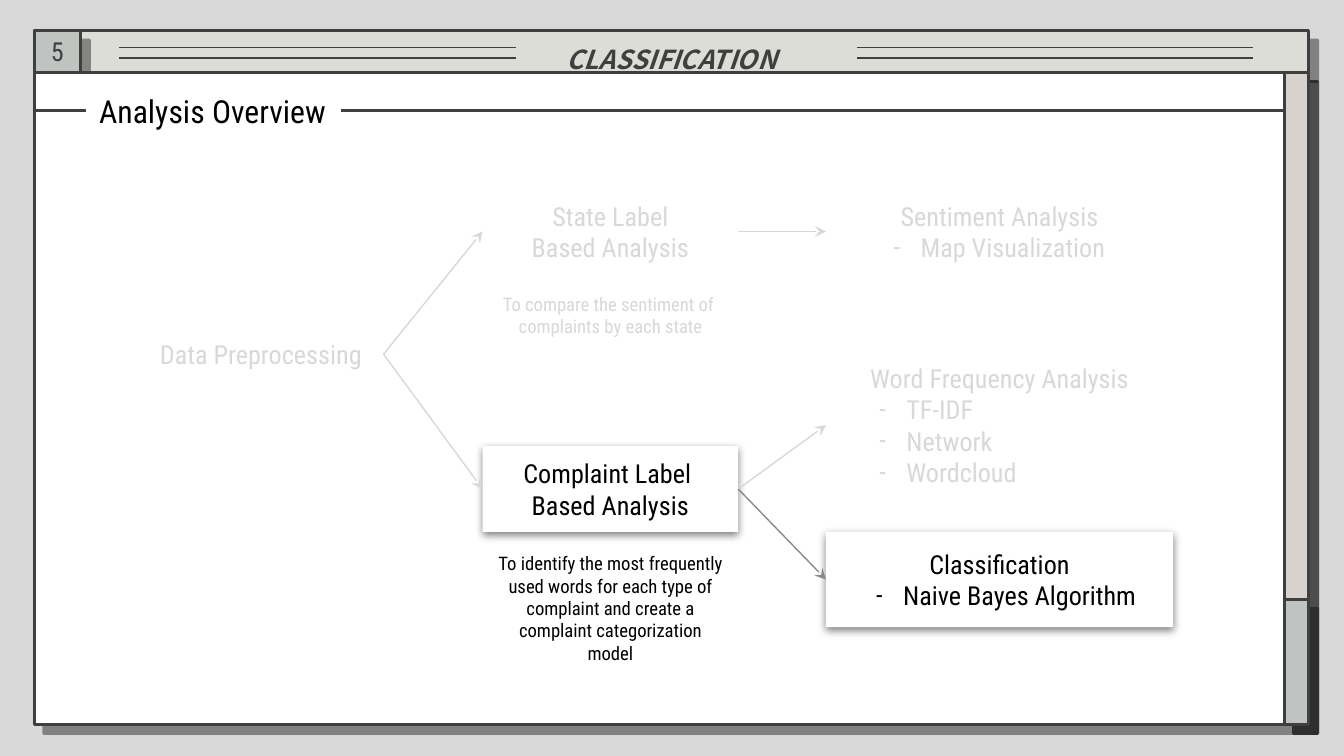
import pptx
import pptx.util
import pptx.dml.color
import pptx.enum.shapes
import pptx.enum.text
import pptx.oxml
import pptx.oxml.ns
from lxml import etree

Pt = pptx.util.Pt
ALIGN = pptx.enum.text.PP_ALIGN
ANCHOR = pptx.enum.text.MSO_ANCHOR
C = {
    "bg": "D8D8D8", "ink": "3F3F3F", "header": "DDDDD8", "accent": "C0C4C1",
    "track": "D7D2CE", "white": "FFFFFF", "black": "000000",
    "faded": "D8D8D8", "arrow": "888888",
}
FONT = "Roboto Condensed"
HARD_SHADOW = (40, 0, 7, 45)
SOFT_SHADOW = (50, 4.5, 1.5, 90)


def rgb(name):
    return pptx.dml.color.RGBColor.from_string(C[name])


def add_shadow(sp, alpha, blur, dist, angle):
    effects = sp._element.spPr.find(pptx.oxml.ns.qn("a:effectLst"))
    effects.append(pptx.oxml.parse_xml(
        f'<a:outerShdw {pptx.oxml.ns.nsdecls("a")} blurRad="{Pt(blur)}" '
        f'dist="{Pt(dist)}" dir="{angle * 60000}" algn="bl" rotWithShape="0">'
        f'<a:srgbClr val="{C["black"]}"><a:alpha val="{alpha * 1000}"/>'
        '</a:srgbClr></a:outerShdw>'))


def add_rect(s, box, fill, line=None, shadow=None):
    sp = s.shapes.add_shape(pptx.enum.shapes.MSO_SHAPE.RECTANGLE, *map(Pt, box))
    sp.shadow.inherit = False
    sp.fill.solid()
    sp.fill.fore_color.rgb = rgb(fill)
    if line:
        sp.line.color.rgb = rgb(line)
        sp.line.width = Pt(1.5)
    else:
        sp.line.fill.background()
    if shadow:
        add_shadow(sp, *shadow)
    return sp


def add_line(s, x1, y1, x2, y2, color, width):
    cn = s.shapes.add_connector(
        pptx.enum.shapes.MSO_CONNECTOR.STRAIGHT, *map(Pt, (x1, y1, x2, y2)))
    cn.line.color.rgb = rgb(color)
    cn.line.width = Pt(width)
    etree.SubElement(cn._element.spPr, pptx.oxml.ns.qn("a:effectLst"))
    return cn


def set_text(sp, text, size, color, align=ALIGN.CENTER, anchor=ANCHOR.MIDDLE,
             inset=7.2, font=FONT):
    tf = sp.text_frame
    tf.word_wrap = True
    tf.vertical_anchor = anchor
    tf.margin_left = tf.margin_right = tf.margin_top = tf.margin_bottom = Pt(inset)
    tf.text = text
    for p in tf.paragraphs:
        p.alignment = align
        for r in p.runs:
            r.font.size = Pt(size)
            r.font.name = font
            r.font.color.rgb = rgb(color)
    return tf


def add_dash(p, left, color, align):
    p.alignment = align
    pPr = p._p.get_or_add_pPr()
    pPr.set("marL", str(Pt(left)))
    pPr.set("indent", str(-Pt(14.4)))
    clr = etree.SubElement(pPr, pptx.oxml.ns.qn("a:buClr"))
    etree.SubElement(clr, pptx.oxml.ns.qn("a:srgbClr"), val=C[color])
    etree.SubElement(pPr, pptx.oxml.ns.qn("a:buFont"), typeface=FONT)
    etree.SubElement(pPr, pptx.oxml.ns.qn("a:buChar"), char="-")


def add_window(s, x, y, w, h, title, number):
    bar, side, thumb = 22.2, 13, 67
    header = add_rect(s, (x, y, w, bar), "header", "ink", HARD_SHADOW)
    tf = set_text(header, title, 14, "ink", inset=3.6, font="Noto Sans CJK KR")
    p = tf.paragraphs[0]
    p.line_spacing = 1.5
    p.runs[0].font.bold = p.runs[0].font.italic = True
    badge = add_rect(s, (x, y, 24.5, bar), "accent", "ink", HARD_SHADOW)
    set_text(badge, number, 14, "ink", inset=3.6)
    for box, fill in (
        ((x, y + bar, w, h - bar), "white"),
        ((x + w - side, y + bar, side, h - bar), "track"),
        ((x + w - side, y + h - thumb, side, thumb), "accent"),
    ):
        add_rect(s, box, fill, "ink", HARD_SHADOW)
    for dx in (45.5, 440.5):
        for dy in (9, 14.5):
            add_line(s, x + dx, y + dy, x + dx + 212.5, y + dy, "ink", 1)


def add_heading(s, x, y, w, h, text):
    left, width = x + 27.5, 136.5
    tb = s.shapes.add_textbox(Pt(left), Pt(y), Pt(width), Pt(h))
    set_text(tb, text, 17, "black", align=ALIGN.LEFT)
    mid = y + h / 2
    add_line(s, x, mid, left, mid, "ink", 1.5)
    add_line(s, left + width, mid, x + w, mid, "ink", 1.5)


def add_node(s, box, text, color, indent=0, align=ALIGN.CENTER, shadow=None):
    sp = add_rect(s, box, "white", shadow=shadow)
    tf = set_text(sp, text, 14, color)
    if indent:
        for p in tf.paragraphs[1:]:
            add_dash(p, indent, color, align)
    return sp


def add_caption(s, box, text, color):
    tb = s.shapes.add_textbox(*map(Pt, box))
    tf = set_text(tb, text, 10, color, anchor=ANCHOR.TOP)
    tf.auto_size = pptx.enum.text.MSO_AUTO_SIZE.SHAPE_TO_FIT_TEXT


def add_arrow(s, start, end, color):
    cn = add_line(s, 0, 0, 0, 0, color, 0.75)
    cn.begin_connect(start, 3)
    cn.end_connect(end, 1)
    etree.SubElement(cn.line._get_or_add_ln(), pptx.oxml.ns.qn("a:tailEnd"),
                     type="stealth", w="med", len="med")


def add_flow(s, x, y, w, h):
    mid_x, mid_w = x + 184.5, 137
    end_w = 186
    end_x = x + w - end_w
    data = add_node(s, (x, y + 72.5, 131.5, 37.5), "Data Preprocessing", "faded")
    state = add_node(s, (mid_x, y + 2.5, mid_w, 46),
                     "State Label\nBased Analysis", "faded")
    complaint = add_node(s, (mid_x, y + 140.5, mid_w, 46),
                         "Complaint Label \nBased Analysis", "black",
                         shadow=SOFT_SHADOW)
    sentiment = add_node(s, (end_x, y, end_w, 51),
                         "Sentiment Analysis\nMap Visualization", "faded", 14.4)
    words = add_node(s, (end_x, y + 91.5, end_w, 75.5),
                     "Word Frequency Analysis\nTF-IDF\nNetwork\nWordcloud",
                     "faded", 36, ALIGN.LEFT)
    classes = add_node(s, (end_x, y + h - 51, end_w, 51),
                       "Classification\nNaive Bayes Algorithm", "black", 21.6,
                       shadow=SOFT_SHADOW)
    for start, end, color in (
        (data, state, "faded"), (data, complaint, "faded"),
        (state, sentiment, "faded"), (complaint, words, "faded"),
        (complaint, classes, "arrow"),
    ):
        add_arrow(s, start, end, color)
    add_caption(s, (mid_x, y + 51, mid_w, 39),
                "To compare the sentiment of \ncomplaints by each state", "faded")
    add_caption(s, (mid_x, y + 190, mid_w, 63.5),
                "To identify the most frequently used words for each type of "
                "complaint and create a complaint categorization model", "black")


def main():
    prs = pptx.Presentation()
    prs.slide_width, prs.slide_height = Pt(720), Pt(405)
    s = prs.slides.add_slide(prs.slide_layouts[6])
    s.background.fill.solid()
    s.background.fill.fore_color.rgb = rgb("bg")
    add_window(s, 18.5, 16.5, 682.5, 371.5, "CLASSIFICATION", "5")
    add_heading(s, 18.5, 46.5, 669.5, 25.5, "Analysis Overview")
    add_flow(s, 74, 98.5, 554.5, 237.5)
    prs.save("out.pptx")


if __name__ == "__main__":
    main()
